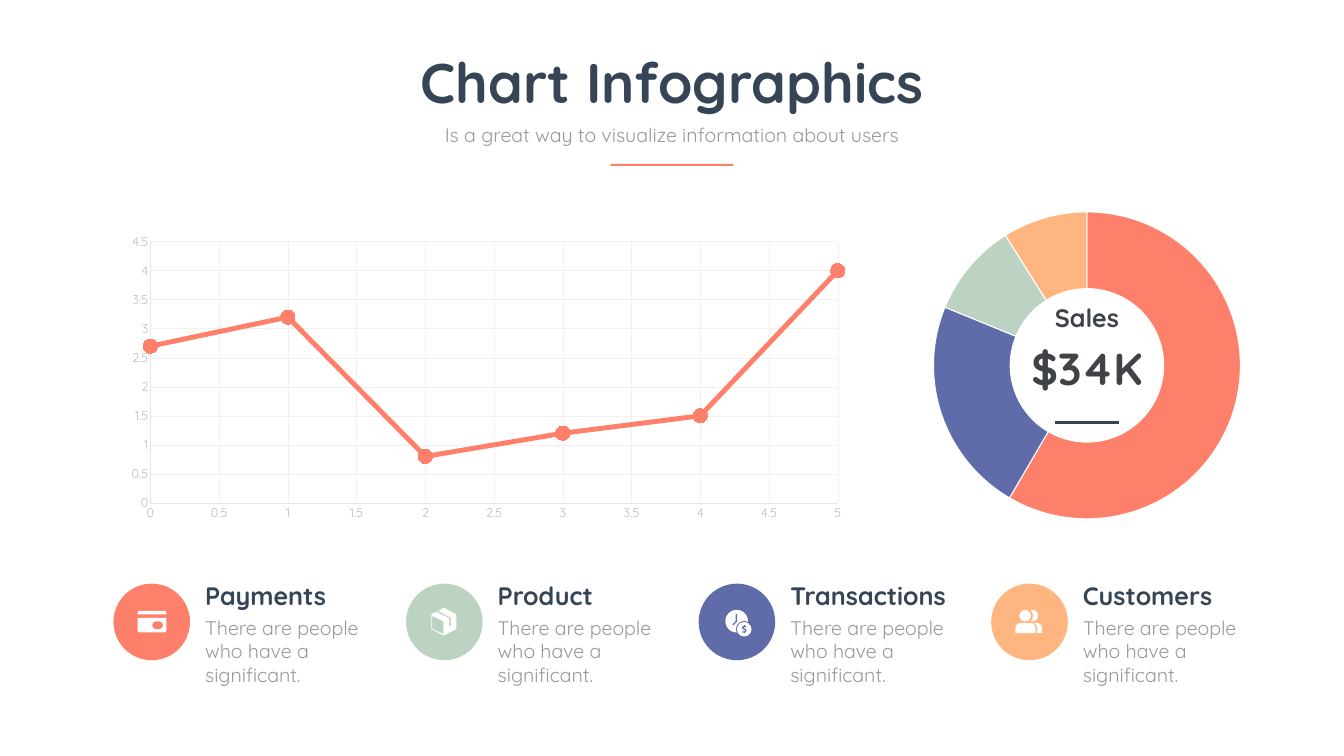
import pptx
import pptx.chart.data
import pptx.dml.color
import pptx.enum.chart
import pptx.enum.shapes
import pptx.enum.text
import pptx.oxml
import pptx.oxml.ns
import pptx.util

WIDTH, HEIGHT = pptx.util.Inches(26.67), pptx.util.Inches(15)
FONT = "Quicksand"
CORAL, SAGE, INDIGO, APRICOT = "FF806A", "BCD3C3", "5F6CA9", "FEB57F"
NAVY, CHARCOAL, GRAY, WHITE = "364556", "3F4347", "999999", "FFFFFF"
BADGE = pptx.util.Inches(1.52)
BADGE_LEFT, BADGE_TOP, BADGE_STEP = 8.44, 77.2, 21.77
SHAPES = pptx.enum.shapes.MSO_SHAPE
ROUND_TOP = SHAPES.ROUND_2_SAME_RECTANGLE


def color(value):
    return pptx.dml.color.RGBColor.from_string(value)


def area(left, top, width, height):
    """Turn percentages of the slide into lengths."""
    return (int(left * WIDTH / 100), int(top * HEIGHT / 100),
            int(width * WIDTH / 100), int(height * HEIGHT / 100))


def add_text(slide, text, box, size=28, hue=GRAY, bold=False, centered=False,
             middle=False, inset=None, spacing=None):
    frame = slide.shapes.add_textbox(*area(*box)).text_frame
    frame.word_wrap = True
    frame.auto_size = pptx.enum.text.MSO_AUTO_SIZE.SHAPE_TO_FIT_TEXT
    if middle:
        frame.vertical_anchor = pptx.enum.text.MSO_ANCHOR.MIDDLE
    if inset is not None:
        frame.margin_left = frame.margin_right = pptx.util.Inches(inset)
        frame.margin_top = frame.margin_bottom = pptx.util.Inches(inset)
    paragraph = frame.paragraphs[0]
    if centered:
        paragraph.alignment = pptx.enum.text.PP_ALIGN.CENTER
    if spacing:
        paragraph.line_spacing = spacing
    run = paragraph.add_run()
    run.text = text
    run.font.name, run.font.size, run.font.bold = FONT, pptx.util.Pt(size), bold
    run.font.color.rgb = color(hue)


def paint(shape, hue):
    shape.shadow.inherit = False
    shape.fill.solid()
    shape.fill.fore_color.rgb = color(hue)
    shape.line.fill.background()


def add_solid(slide, kind, lengths, hue):
    shape = slide.shapes.add_shape(kind, *lengths)
    paint(shape, hue)
    return shape


def set_line(line, hue, width):
    line.color.rgb = color(hue)
    line.width = pptx.util.Pt(width)


def set_layout(chart, **shares):
    """Place the inner plot area as shares of the chart's size."""
    plot_area = chart._chartSpace.chart.plotArea
    for old in plot_area.findall(pptx.oxml.ns.qn("c:layout")):
        plot_area.remove(old)
    values = "".join(f'<c:{name} val="{value}"/>' for name, value in shares.items())
    plot_area.insert(0, pptx.oxml.parse_xml(
        f'<c:layout {pptx.oxml.ns.nsdecls("c")}><c:manualLayout>'
        '<c:layoutTarget val="inner"/><c:xMode val="edge"/><c:yMode val="edge"/>'
        f'{values}</c:manualLayout></c:layout>'))


def add_chart(slide, kind, box, data, font, size):
    chart = slide.shapes.add_chart(kind, *area(*box), data).chart
    chart.has_legend = chart.has_title = False
    chart.font.name, chart.font.size = font, pptx.util.Pt(size)
    chart.font.color.rgb = color(GRAY)
    return chart


def style_axis(axis, maximum):
    axis.minimum_scale, axis.maximum_scale, axis.major_unit = 0, maximum, 0.5
    axis.major_tick_mark = axis.minor_tick_mark = pptx.enum.chart.XL_TICK_MARK.NONE
    axis.has_major_gridlines = True
    set_line(axis.major_gridlines.format.line, "F0F0F0", 0.75)
    set_line(axis.format.line, "E6E6E6", 0.75)
    font = axis.tick_labels.font
    font.name, font.size = FONT, pptx.util.Pt(18)
    font.color.rgb = color("BDBDBD")


def add_curve(slide):
    data = pptx.chart.data.XyChartData()
    points = data.add_series("Series 1")
    for x, y in enumerate([2.7, 3.2, 0.8, 1.2, 1.5, 4]):
        points.add_data_point(x, y)
    chart = add_chart(slide, pptx.enum.chart.XL_CHART_TYPE.XY_SCATTER_SMOOTH,
                      (8.44, 30.4, 55, 39.27), data, FONT, 18)
    chart.plots[0].vary_by_categories = False
    style_axis(chart.category_axis, 5)
    style_axis(chart.value_axis, 4.5)
    series = chart.plots[0].series[0]
    series.smooth = True
    set_line(series.format.line, CORAL, 7)
    series.marker.style = pptx.enum.chart.XL_MARKER_STYLE.CIRCLE
    series.marker.size = 20
    series.marker.format.fill.solid()
    series.marker.format.fill.fore_color.rgb = color(CORAL)
    series.marker.format.line.color.rgb = color(CORAL)
    set_layout(chart, x=0.05, y=0.04, w=0.93, h=0.88)


def add_sales_ring(slide):
    data = pptx.chart.data.CategoryChartData()
    data.categories = ["1", "2", "3", "4"]
    data.add_series("Series 1", [59, 23, 10, 9])
    chart = add_chart(slide, pptx.enum.chart.XL_CHART_TYPE.DOUGHNUT,
                      (67.9, 27, 25.95, 42.67), data, "Calibri", 10)
    plot = chart.plots[0]
    plot.vary_by_categories = True
    plot._element.find(pptx.oxml.ns.qn("c:holeSize")).set("val", "75")
    for index, hue in enumerate([CORAL, INDIGO, SAGE, APRICOT]):
        part = plot.series[0].points[index].format
        part.fill.solid()
        part.fill.fore_color.rgb = color(hue)
        set_line(part.line, WHITE, 1.5)
    set_layout(chart, x=0.06, y=0.02, w=0.88, h=0.96)

    label = dict(hue=CHARCOAL, bold=True, centered=True, middle=True, inset=0.06)
    add_text(slide, "Sales", (70.79, 40.73, 20.17, 3.6), size=36, spacing=0.7, **label)
    add_text(slide, "$34K", (69.07, 44.67, 23.62, 7.93), size=64, **label)
    left, top, width, _ = area(78.52, 55.87, 4.72, 0)
    rule = slide.shapes.add_connector(pptx.enum.shapes.MSO_CONNECTOR.STRAIGHT,
                                      left, top, left + width, top)
    set_line(rule.line, NAVY, 4)
    rule._element.spPr.append(pptx.oxml.parse_xml(
        f'<a:effectLst {pptx.oxml.ns.nsdecls("a")}/>'))


class Badge:
    """A coloured disc whose icon is laid out in percentages of the disc."""

    def __init__(self, slide, left, hue):
        self.slide, self.hue = slide, hue
        self.left, self.top, _, _ = area(left, BADGE_TOP, 0, 0)
        self.add(SHAPES.OVAL, 0, 0, 100, 100, hue)

    def at(self, x, y):
        return int(self.left + x * BADGE / 100), int(self.top + y * BADGE / 100)

    def add(self, kind, x, y, width, height, hue=WHITE, rounding=None):
        lengths = *self.at(x, y), int(width * BADGE / 100), int(height * BADGE / 100)
        shape = add_solid(self.slide, kind, lengths, hue)
        if rounding is not None:
            shape.adjustments[0] = rounding
        return shape

    def outline(self, *contours, closed=True):
        builder = self.slide.shapes.build_freeform(*self.at(*contours[0][0]))
        for index, contour in enumerate(contours):
            if index:
                builder.move_to(*self.at(*contour[0]))
            builder.add_line_segments([self.at(*p) for p in contour[1:]], close=closed)
        shape = builder.convert_to_shape()
        paint(shape, WHITE)
        if not closed:
            shape.fill.background()
            set_line(shape.line, self.hue, 1.75)


def draw_card(badge):
    badge.add(ROUND_TOP, 31.6, 35.5, 37.5, 4.6, rounding=0.5)
    badge.add(ROUND_TOP, 31.6, 44.7, 37.5, 19, rounding=0.15).rotation = 180
    badge.add(SHAPES.ROUNDED_RECTANGLE, 50.7, 49.3, 13.8, 9.9, badge.hue, 0.5)


def draw_parcel(badge):
    badge.outline(
        [(65.8, 40.1), (49.3, 31.6), (42.1, 35.5), (58.6, 44.7), (58.6, 55.3),
         (56.6, 55.9), (56.6, 45.4), (39.5, 36.8), (33, 40.1), (33, 59.2),
         (49.3, 67.8), (65.8, 59.2)],
        [(48.7, 65.8), (34.2, 58.6), (34.2, 42.1), (48.7, 49.3)])


def draw_clock_and_coin(badge):
    badge.add(SHAPES.OVAL, 34.9, 34.2, 29.6, 29.6)
    badge.outline([(49.3, 39.5), (49.3, 49.3), (44.7, 53.9)], closed=False)
    badge.add(SHAPES.OVAL, 48.7, 48.7, 21.7, 21.7, badge.hue)
    badge.add(SHAPES.OVAL, 50, 50, 19.1, 19.1)
    badge.outline(
        [(61.8, 55.9), (58.6, 55.9), (57.2, 57.2), (58.6, 59.2), (60.5, 59.2),
         (61.8, 61.2), (60.5, 63.2), (57.2, 63.2)],
        [(59.9, 53.9), (59.9, 55.9)], [(59.9, 63.2), (59.9, 65.1)], closed=False)


def draw_people(badge):
    badge.add(SHAPES.OVAL, 46.1, 34.2, 15.1, 15.1)
    badge.add(SHAPES.OVAL, 34.2, 31.6, 20.4, 20.4, badge.hue)
    badge.add(SHAPES.OVAL, 36.8, 34.2, 15.1, 15.1)
    for x, width, hue in [(46.7, 19.7, WHITE), (33.6, 26.3, badge.hue), (31.6, 26.3, WHITE)]:
        badge.add(ROUND_TOP, x, 51.3, width, 13.2, hue, 0.5)


def main():
    presentation = pptx.Presentation()
    presentation.slide_width, presentation.slide_height = WIDTH, HEIGHT
    slide = presentation.slides.add_slide(presentation.slide_layouts[6])
    add_text(slide, "Chart Infographics", (25.8, 6, 48.41, 9.67),
             size=80, hue=NAVY, bold=True, centered=True)
    add_text(slide, "Is a great way to visualize information about users",
             (32.06, 15.87, 35.85, 3.8), centered=True)
    add_solid(slide, SHAPES.RECTANGLE, area(45.44, 21.67, 9.11, 0.27), CORAL)
    add_curve(slide)
    add_sales_ring(slide)
    topics = [("Payments", CORAL, draw_card), ("Product", SAGE, draw_parcel),
              ("Transactions", INDIGO, draw_clock_and_coin),
              ("Customers", APRICOT, draw_people)]
    for index, (name, hue, draw_icon) in enumerate(topics):
        left = BADGE_LEFT + index * BADGE_STEP
        draw_icon(Badge(slide, left, hue))
        add_text(slide, "There are people who have a significant.",
                 (left + 6.45, 81.13, 14.4, 10.07))
        add_text(slide, name, (left + 6.45, 76.4, 17.92, 4.73),
                 size=36, hue=NAVY, bold=True)
    presentation.save("out.pptx")


if __name__ == "__main__":
    main()
